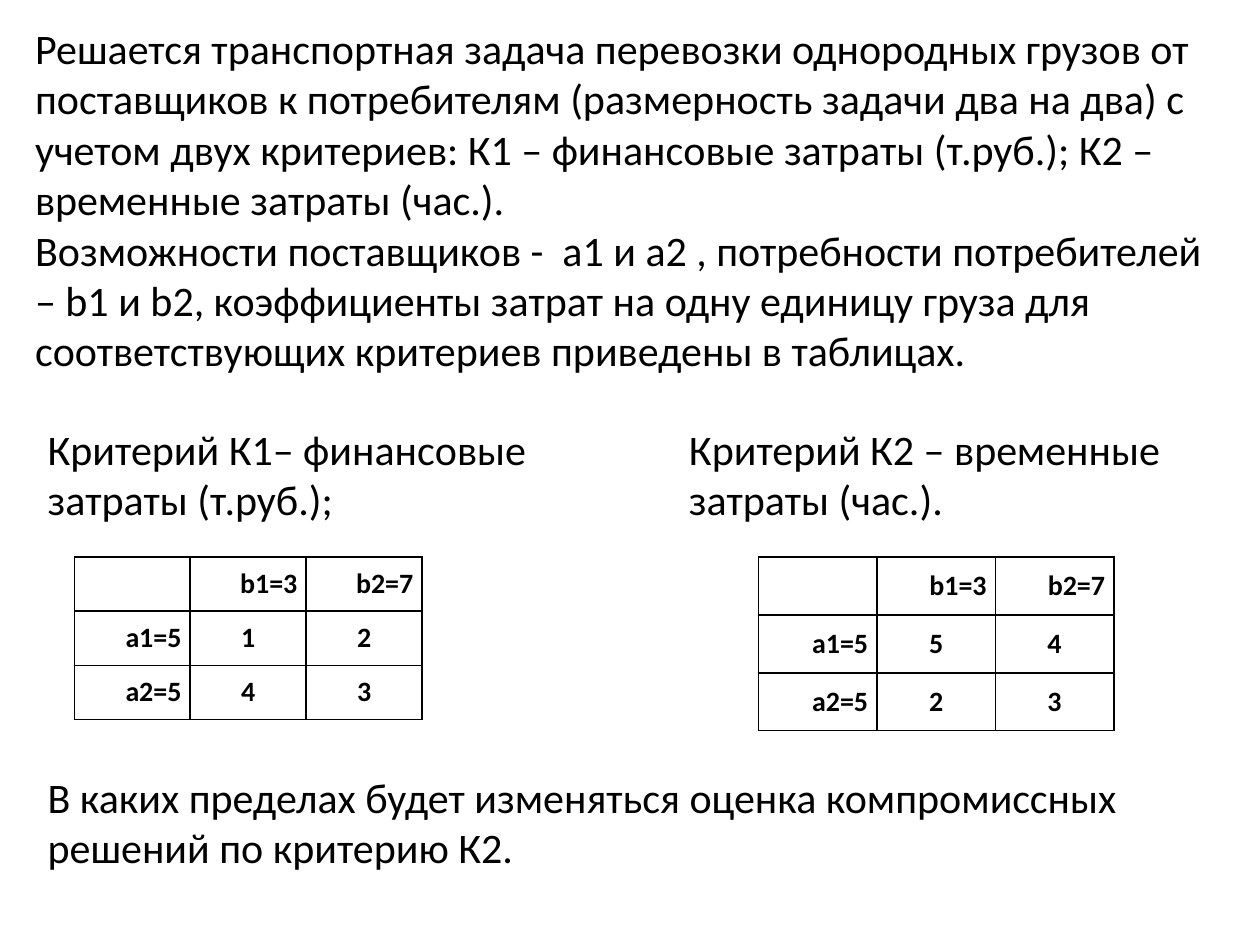
from lxml import etree
from pptx import Presentation
from pptx.dml.color import RGBColor
from pptx.enum import text
from pptx.oxml.ns import qn
from pptx.util import Inches, Pt

COLORS = {"ink": "000000", "page": "FFFFFF"}
TASK = [
    "Решается транспортная задача перевозки однородных грузов от поставщиков к потребителям "
    "(размерность задачи два на два) с учетом двух критериев: К1 – финансовые затраты (т.руб.); "
    "К2 – временные затраты (час.).",
    "Возможности поставщиков -  a1 и a2 , потребности потребителей – b1 и b2, коэффициенты затрат "
    "на одну единицу груза для соответствующих критериев приведены в таблицах.",
]
DEMANDS = ["b1=3", "b2=7"]
SUPPLIES = ["a1=5", "a2=5"]


class TransportSlide:
    """Draws text boxes and cost tables in one style on the current page."""

    font = "Calibri"
    body_size = Pt(24)
    table_size = Pt(16)

    def __init__(self, deck):
        self.page = deck.slides.add_slide(deck.slide_layouts[6])
        fill = self.page.background.fill
        fill.solid()
        fill.fore_color.rgb = RGBColor.from_string(COLORS["page"])

    def set_font(self, span, **values):
        for name, value in {"name": self.font, **values}.items():
            setattr(span.font, name, value)
        span.font.color.rgb = RGBColor.from_string(COLORS["ink"])

    def add_text(self, left, top, width, height, paragraphs):
        box = self.page.shapes.add_textbox(Inches(left), Inches(top), Inches(width), Inches(height))
        frame = box.text_frame
        frame.word_wrap = True
        frame.auto_size = text.MSO_AUTO_SIZE.SHAPE_TO_FIT_TEXT
        for index, wording in enumerate(paragraphs):
            para = frame.add_paragraph() if index else frame.paragraphs[0]
            span = para.add_run()
            span.text = wording
            self.set_font(span, size=self.body_size)

    def add_borders(self, cell):
        properties = cell._tc.get_or_add_tcPr()
        for side in ("a:lnL", "a:lnR", "a:lnT", "a:lnB"):
            line = etree.SubElement(properties, qn(side), w=str(Pt(1)))
            fill = etree.SubElement(line, qn("a:solidFill"))
            etree.SubElement(fill, qn("a:srgbClr"), val=COLORS["ink"])

    def add_cost_table(self, left, top, column_width, row_height, costs):
        rows = [["", *DEMANDS]] + [[supply, *line] for supply, line in zip(SUPPLIES, costs)]
        size = len(rows)
        table = self.page.shapes.add_table(
            size, size, Inches(left), Inches(top),
            Inches(column_width * size), Inches(row_height * size)).table
        table.first_row = table.horz_banding = False
        cell_format = {
            "margin_left": Inches(0.07), "margin_right": Inches(0.07),
            "margin_top": 0, "margin_bottom": 0,
            "vertical_anchor": text.MSO_ANCHOR.MIDDLE,
        }
        for index in range(size):
            table.columns[index].width = Inches(column_width)
            table.rows[index].height = Inches(row_height)
        for row, values in enumerate(rows):
            for column, value in enumerate(values):
                cell = table.cell(row, column)
                for name, setting in cell_format.items():
                    setattr(cell, name, setting)
                self.add_borders(cell)
                cell.fill.background()
                para = cell.text_frame.paragraphs[0]
                is_cost = row and column
                para.alignment = text.PP_ALIGN.CENTER if is_cost else text.PP_ALIGN.RIGHT
                if value != "":
                    span = para.add_run()
                    span.text = str(value)
                    self.set_font(span, size=self.table_size, bold=True)


def main():
    deck = Presentation()
    deck.slide_width, deck.slide_height = Inches(10), Inches(7.5)
    slide = TransportSlide(deck)
    slide.add_text(0.18, 0.13, 9.62, 2.93, TASK)
    slide.add_text(0.28, 3.31, 4.33, 0.91, ["Критерий К1– финансовые затраты (т.руб.);"])
    slide.add_text(5.37, 3.31, 4.43, 1.72, ["Критерий К2 – временные затраты (час.)."])
    slide.add_cost_table(6.02, 4.42, 0.94, 0.46, [[5, 4], [2, 3]])
    slide.add_cost_table(0.59, 4.42, 0.92, 0.43, [[1, 2], [4, 3]])
    slide.add_text(0.28, 6.07, 9.61, 0.91, [
        "В каких пределах будет изменяться оценка компромиссных решений по критерию К2."])
    deck.save("out.pptx")


if __name__ == "__main__":
    main()
